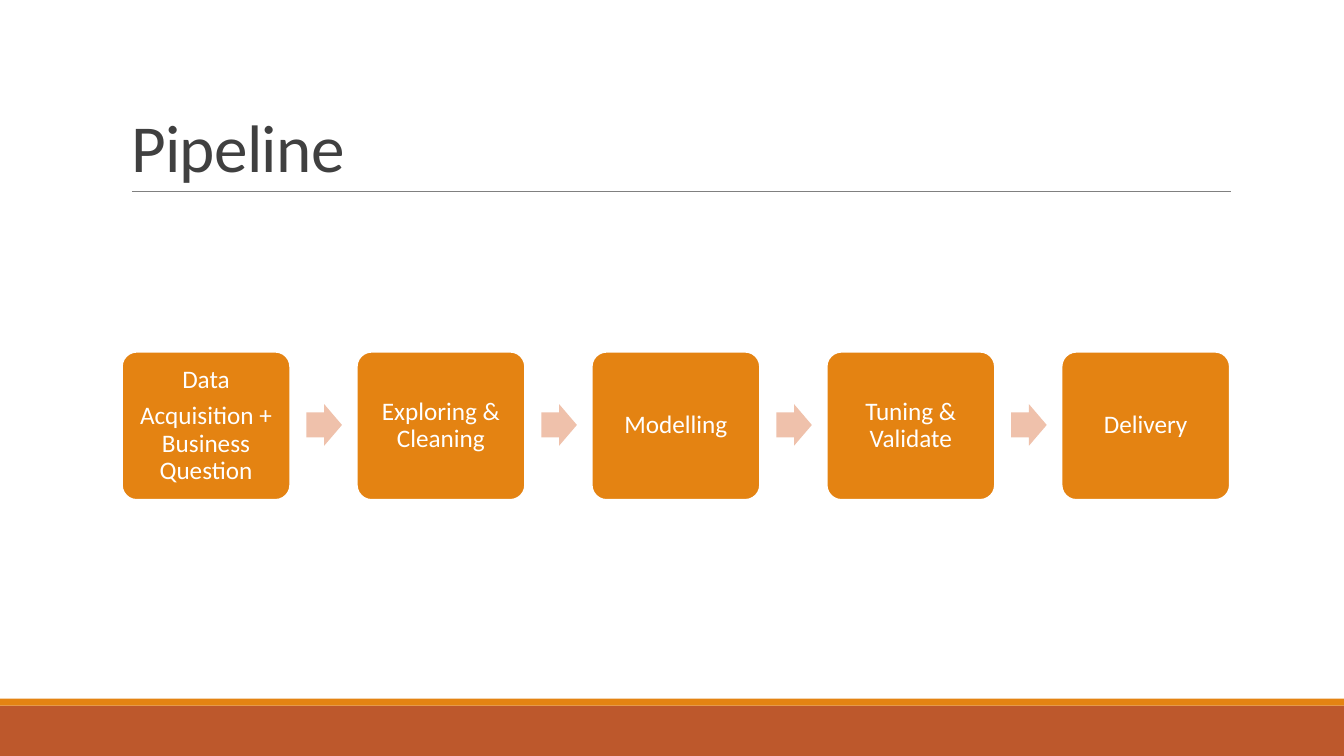
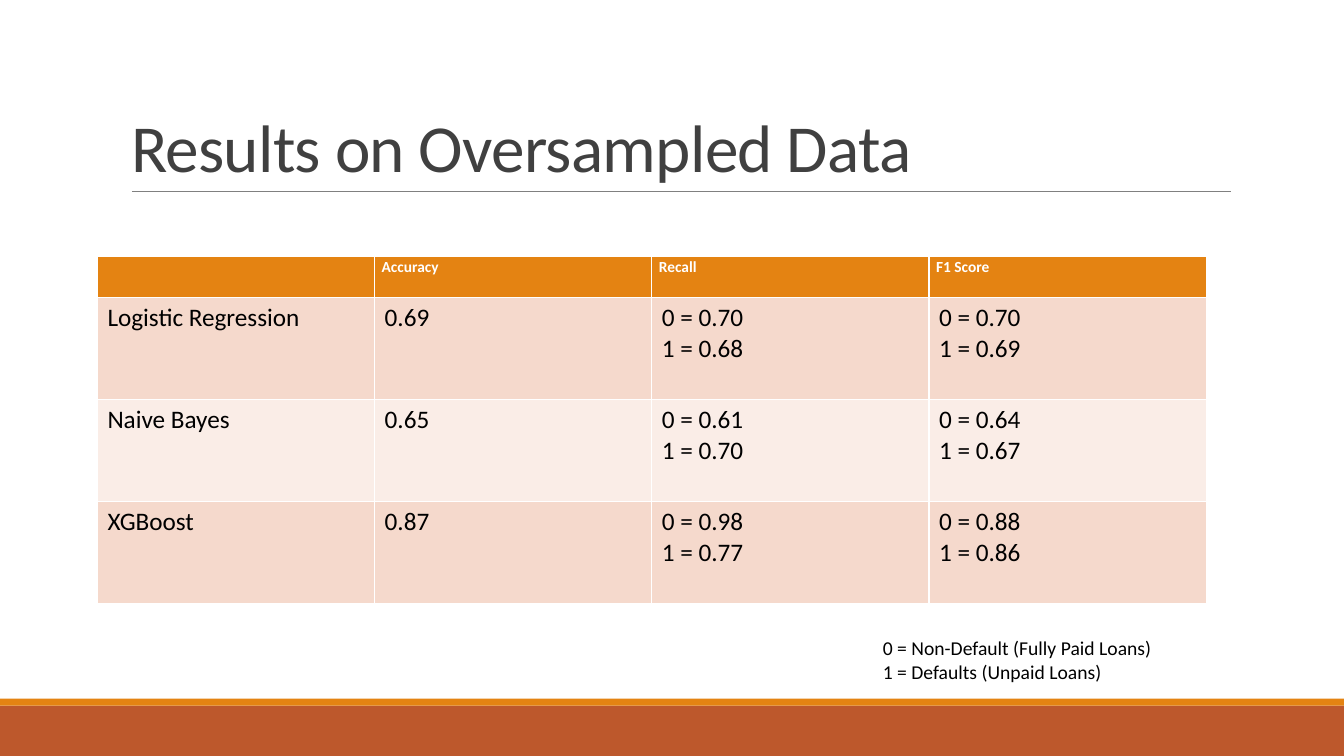
"""Build two slides: a modelling pipeline and its results on oversampled data."""
from lxml.etree import SubElement
from pptx import Presentation
from pptx.dml.color import RGBColor
from pptx.enum.shapes import MSO_CONNECTOR as Connector, MSO_SHAPE as Shape
from pptx.enum.text import MSO_ANCHOR as Anchor, MSO_AUTO_SIZE as AutoSize, PP_ALIGN as Align
from pptx.oxml.ns import qn
from pptx.util import Pt

WHITE = RGBColor(0xFF, 0xFF, 0xFF)
BLACK = RGBColor(0x00, 0x00, 0x00)
DARK_GREY = RGBColor(0x40, 0x40, 0x40)
RULE_GREY = RGBColor(0x80, 0x80, 0x80)
ORANGE = RGBColor(0xE4, 0x83, 0x12)
RUST = RGBColor(0xBD, 0x58, 0x2C)
PALE_RUST = RGBColor(0xEF, 0xC1, 0xAB)
ROW_TINTS = [RGBColor(0xF5, 0xD9, 0xCC), RGBColor(0xFA, 0xED, 0xE7)]

TITLE_BOX = {"left": Pt(86.4), "top": Pt(22.3), "width": Pt(792), "height": Pt(114.5)}
TITLE_FRAME = {"vertical_anchor": Anchor.BOTTOM, "auto_size": AutoSize.NONE, "word_wrap": True}
TITLE_PARAGRAPH = {"alignment": Align.LEFT, "line_spacing": 0.85}
STEP_FRAME = {"vertical_anchor": Anchor.MIDDLE, "word_wrap": True, "margin_left": Pt(5),
              "margin_right": Pt(5), "margin_top": Pt(5), "margin_bottom": Pt(5)}
STEP_PARAGRAPH = {"alignment": Align.CENTER, "line_spacing": 0.9, "space_after": Pt(6.3)}
HEADER_CELL = {"margin_left": Pt(5), "margin_right": Pt(5), "margin_top": 0, "margin_bottom": 0}


def write(frame, text, size, colour, paragraph_format={}, bold=False):
    """Fill a text frame, one paragraph per line of text."""
    frame.text = text
    for paragraph in frame.paragraphs:
        for name, value in paragraph_format.items():
            setattr(paragraph, name, value)
        for run in paragraph.runs:
            for name, value in {"name": "Calibri", "size": Pt(size), "bold": bold}.items():
                setattr(run.font, name, value)
            run.font.color.rgb = colour


def add_block(slide, kind, box, fill, adjustments=()):
    """Add a filled preset shape without outline or shadow."""
    block = slide.shapes.add_shape(kind, *map(Pt, box))
    block.shadow.inherit = False
    block.fill.solid()
    block.fill.fore_color.rgb = fill
    block.line.fill.background()
    for index, value in enumerate(adjustments):
        block.adjustments[index] = value
    return block


deck = Presentation()
deck.slide_width, deck.slide_height = Pt(960), Pt(540)

slides = []
for heading in ["Pipeline", "Results on Oversampled Data"]:
    slide = deck.slides.add_slide(deck.slide_layouts[5])
    slides.append(slide)
    add_block(slide, Shape.RECTANGLE, (0, 504, 960, 36), RUST)
    add_block(slide, Shape.RECTANGLE, (0, 499, 960, 5), ORANGE)
    rule = slide.shapes.add_connector(Connector.STRAIGHT, Pt(94.3), Pt(136.8), Pt(879.1), Pt(136.8))
    rule.line.color.rgb = RULE_GREY
    rule.line.width = Pt(0.5)
    SubElement(rule._element.spPr, qn("a:effectLst"))
    title = slide.shapes.title
    for name, value in TITLE_BOX.items():
        setattr(title, name, value)
    for name, value in TITLE_FRAME.items():
        setattr(title.text_frame, name, value)
    write(title.text_frame, heading, 48, DARK_GREY, TITLE_PARAGRAPH)
    title.text_frame.paragraphs[0].runs[0]._r.get_or_add_rPr().set("spc", "-50")

pipeline, results = slides

steps = ["Data\nAcquisition + Business Question", "Exploring & Cleaning", "Modelling",
         "Tuning & Validate", "Delivery"]
for index, label in enumerate(steps):
    left = 87.1 + index * 167.8
    step = add_block(pipeline, Shape.ROUNDED_RECTANGLE, (left, 251.3, 120.2, 105.8), ORANGE, [0.1])
    step.line.color.rgb = WHITE
    step.line.width = Pt(1.25)
    for name, value in STEP_FRAME.items():
        setattr(step.text_frame, name, value)
    write(step.text_frame, label, 18, WHITE, STEP_PARAGRAPH)
    if index < len(steps) - 1:
        add_block(pipeline, Shape.RIGHT_ARROW, (left + 131.8, 288.7, 25.4, 29.7), PALE_RUST, [0.6, 0.5])

scores = [
    ["", "Accuracy", "Recall", "F1 Score"],
    ["Logistic Regression", "0.69", "0 = 0.70\n1 = 0.68", "0 = 0.70\n1 = 0.69"],
    ["Naive Bayes", "0.65", "0 = 0.61\n1 = 0.70", "0 = 0.64\n1 = 0.67"],
    ["XGBoost", "0.87", "0 = 0.98\n1 = 0.77", "0 = 0.88\n1 = 0.86"],
]
score_table = results.shapes.add_table(4, 4, Pt(69.6), Pt(183.4), Pt(792), Pt(248)).table
for row_index, row in enumerate(scores):
    is_header = row_index == 0
    score_table.rows[row_index].height = Pt(29 if is_header else 73)
    for column_index, text in enumerate(row):
        cell = score_table.cell(row_index, column_index)
        cell.fill.solid()
        cell.fill.fore_color.rgb = ORANGE if is_header else ROW_TINTS[(row_index - 1) % 2]
        if is_header:
            for name, value in HEADER_CELL.items():
                setattr(cell, name, value)
            write(cell.text_frame, text, 11, WHITE, {"line_spacing": 1.07}, bold=True)
        else:
            write(cell.text_frame, text, 18, BLACK)

legend = results.shapes.add_textbox(Pt(623.5), Pt(450.7), Pt(270), Pt(41)).text_frame
legend.word_wrap = True
write(legend, "0 = Non-Default (Fully Paid Loans)\n1 = Defaults (Unpaid Loans)", 14, BLACK)

deck.save("out.pptx")
